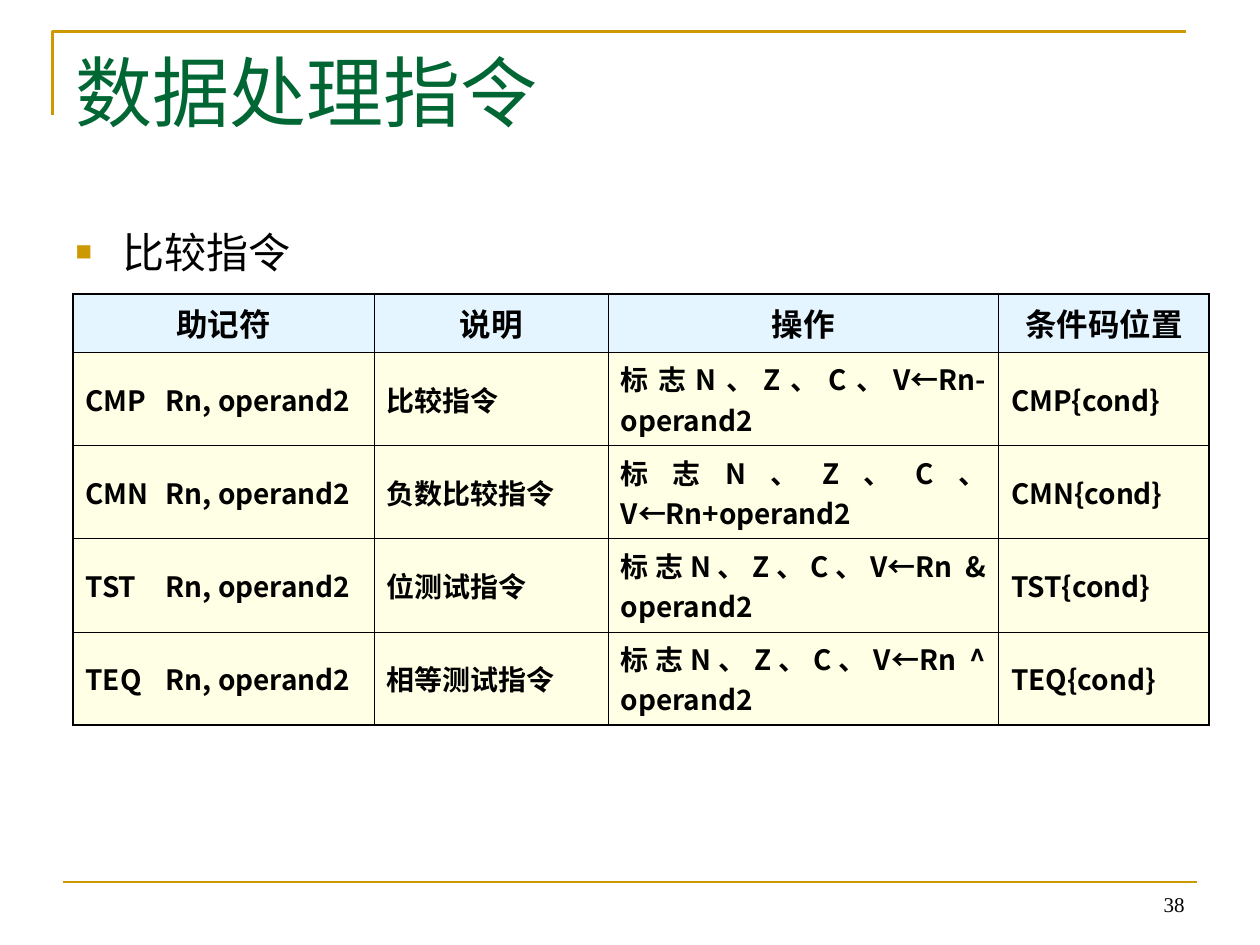
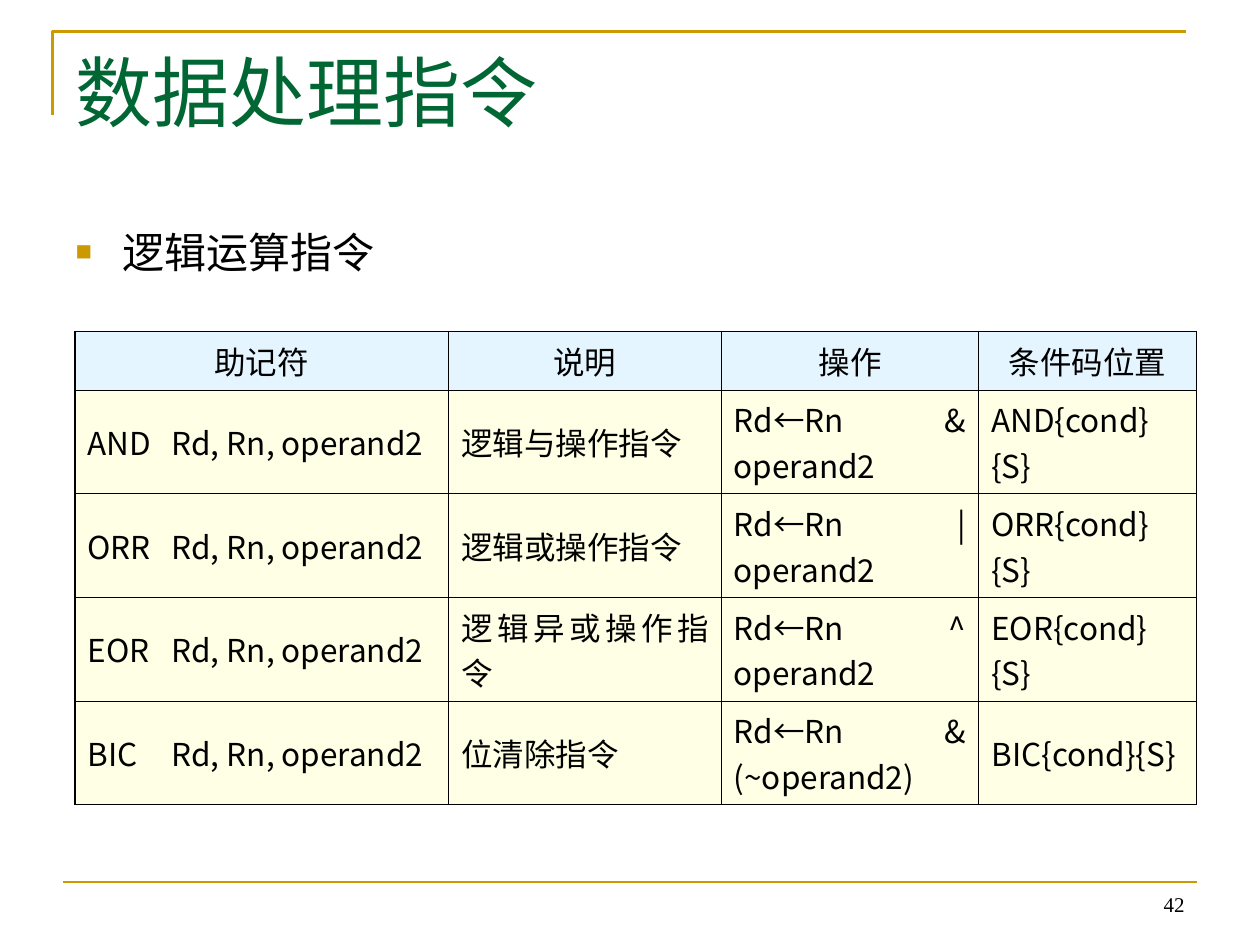
"""Build two slides that tabulate the comparison and logic instructions."""
from lxml.etree import SubElement
from pptx import Presentation
from pptx.dml.color import RGBColor
from pptx.enum.shapes import MSO_CONNECTOR
from pptx.enum.text import MSO_ANCHOR, MSO_AUTO_SIZE, PP_ALIGN
from pptx.oxml import parse_xml
from pptx.oxml.ns import nsdecls, qn
from pptx.util import Cm, Pt

GOLD = RGBColor(0xCC, 0x99, 0x00)
GREEN = RGBColor(0x00, 0x66, 0x33)
BLACK = RGBColor(0x00, 0x00, 0x00)
PALE_BLUE = RGBColor(0xCC, 0xEC, 0xFF)
PALE_YELLOW = RGBColor(0xFF, 0xFF, 0xCC)
SERIF, SANS, TABLE_FONT = "Times New Roman", "Arial", "Noto Sans CJK SC"
OUTER, INNER = Pt(1.08), Pt(0.45)
HEADINGS = ["助记符", "说明", "操作", "条件码位置"]

SLIDES = [
    {
        "number": "38", "topic": "比较指令",
        "left": 1.47, "top": 5.92, "columns": [6.07, 4.72, 7.87, 4.24],
        "row_height": 1.88, "tab": 1.62, "size": 16, "bold": True,
        "operands": "Rn, operand2", "suffix": "{cond}",
        "instructions": [
            ("CMP", "比较指令", "标志N、Z、C、V←Rn-operand2"),
            ("CMN", "负数比较指令", "标志N、Z、C、V←Rn+operand2"),
            ("TST", "位测试指令", "标志N、Z、C、V←Rn & operand2"),
            ("TEQ", "相等测试指令", "标志N、Z、C、V←Rn ^ operand2"),
        ],
    },
    {
        "number": "42", "topic": "逻辑运算指令",
        "left": 1.51, "top": 6.68, "columns": [7.53, 5.5, 5.19, 4.39],
        "row_height": 2.09, "tab": 1.7, "size": 18, "bold": False,
        "operands": "Rd, Rn, operand2", "suffix": "{cond}{S}",
        "instructions": [
            ("AND", "逻辑与操作指令", "Rd←Rn & operand2"),
            ("ORR", "逻辑或操作指令", "Rd←Rn | operand2"),
            ("EOR", "逻辑异或操作指令", "Rd←Rn ^ operand2"),
            ("BIC", "位清除指令", "Rd←Rn & (~operand2)"),
        ],
    },
]


def write(para, text, font, size, color, align=PP_ALIGN.LEFT, bold=False):
    """Fill a paragraph and set its font."""
    para.text = text
    para.alignment = align
    para.font.name, para.font.size, para.font.bold = font, Pt(size), bold
    para.font.color.rgb = color


def paint_cell(cell, color, borders):
    """Give a cell a half-transparent fill and its four borders."""
    cell.fill.solid()
    cell.fill.fore_color.rgb = color
    properties = cell._tc.get_or_add_tcPr()
    SubElement(properties.find(".//" + qn("a:srgbClr")), qn("a:alpha"), val="50000")
    for index, (side, width) in enumerate(borders.items()):
        properties.insert(index, parse_xml(
            f'<a:ln{side} {nsdecls("a")} w="{width}"><a:solidFill>'
            f'<a:srgbClr val="{BLACK}"/></a:solidFill></a:ln{side}>'))


deck = Presentation()
deck.slide_width, deck.slide_height = Cm(25.4), Cm(19.05)

for content in SLIDES:
    page = deck.slides.add_slide(deck.slide_layouts[1])
    title, body = page.placeholders

    outline = page.shapes.build_freeform(Cm(1.06), Cm(2.32))
    outline.add_line_segments([(Cm(1.06), Cm(0.64)), (Cm(23.91), Cm(0.64))], close=False)
    corner = outline.convert_to_shape()
    corner.fill.background()
    corner.shadow.inherit = False
    rule = page.shapes.add_connector(
        MSO_CONNECTOR.STRAIGHT, Cm(1.27), Cm(17.78), Cm(24.13), Cm(17.78))
    for stroke in (corner, rule):
        stroke.line.color.rgb = GOLD
        stroke.line.width = Pt(1.5)
    SubElement(rule._element.spPr, qn("a:effectLst"))

    title.left, title.top, title.width, title.height = Cm(1.27), Cm(0.78), Cm(22.86), Cm(3.18)
    body.left, body.top, body.width, body.height = Cm(1.27), Cm(4.43), Cm(22.86), Cm(12.57)
    for holder in (title, body):
        holder.text_frame.vertical_anchor = MSO_ANCHOR.TOP
        holder.text_frame.auto_size = MSO_AUTO_SIZE.NONE
    write(title.text_frame.paragraphs[0], "数据处理指令", SERIF, 44, GREEN)

    topic = body.text_frame.paragraphs[0]
    topic.space_before = Pt(0)
    layout = topic._p.get_or_add_pPr()
    layout.set("marL", str(Cm(0.95)))
    layout.set("indent", str(-Cm(0.95)))
    SubElement(SubElement(layout, qn("a:buClr")), qn("a:srgbClr"), val=str(GOLD))
    SubElement(layout, qn("a:buSzPct"), val="65000")
    SubElement(layout, qn("a:buFont"), typeface=SANS)
    SubElement(layout, qn("a:buChar"), char="■")
    write(topic, content["topic"], SANS, 24, BLACK)

    number = page.shapes.add_textbox(Cm(18.21), Cm(17.34), Cm(5.92), Cm(1.27))
    number.text_frame.word_wrap = True
    number.text_frame.vertical_anchor = MSO_ANCHOR.BOTTOM
    write(number.text_frame.paragraphs[0], content["number"], SERIF, 12, BLACK, PP_ALIGN.RIGHT)

    rows = [HEADINGS] + [
        (f"{code}\t{content['operands']}", meaning, effect, code + content["suffix"])
        for code, meaning, effect in content["instructions"]]
    widths = content["columns"]
    heights = [1.18] + [content["row_height"]] * (len(rows) - 1)
    table = page.shapes.add_table(
        len(rows), len(widths), Cm(content["left"]), Cm(content["top"]),
        Cm(sum(widths)), Cm(sum(heights))).table
    table.first_row = table.horz_banding = False
    for column, width in zip(table.columns, widths):
        column.width = Cm(width)
    for row, height in zip(table.rows, heights):
        row.height = Cm(height)

    for y, texts in enumerate(rows):
        for x, text in enumerate(texts):
            cell = table.cell(y, x)
            cell.vertical_anchor = MSO_ANCHOR.MIDDLE
            para = cell.text_frame.paragraphs[0]
            if "\t" in text:
                tabs = SubElement(para._p.get_or_add_pPr(), qn("a:tabLst"))
                SubElement(tabs, qn("a:tab"), pos=str(Cm(content["tab"])), algn="l")
            size = content["size"] if y else 18
            align = PP_ALIGN.JUSTIFY if y else PP_ALIGN.CENTER
            write(para, text, TABLE_FONT, size, BLACK, align, content["bold"])
            paint_cell(cell, PALE_YELLOW if y else PALE_BLUE, {
                "L": INNER if x else OUTER,
                "R": OUTER if x == len(widths) - 1 else INNER,
                "T": INNER if y else OUTER,
                "B": OUTER if y == len(rows) - 1 else INNER,
            })

deck.save("out.pptx")
